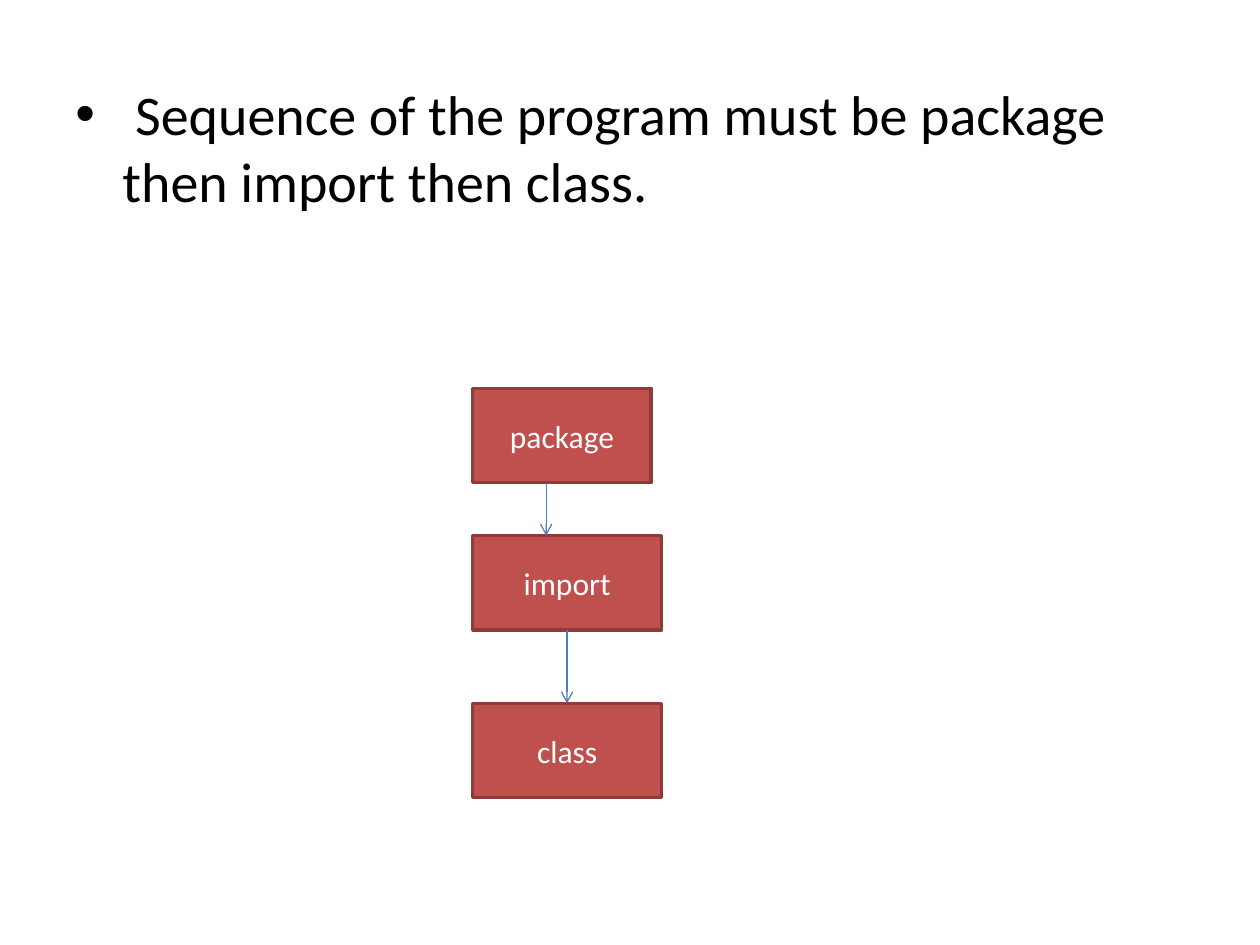
from lxml.etree import SubElement as Sub
from pptx import Presentation
from pptx.dml.color import RGBColor as Rgb
from pptx.enum.shapes import MSO_CONNECTOR as Link, MSO_SHAPE as Shape
from pptx.enum.text import MSO_ANCHOR as Anchor, PP_ALIGN as Align
from pptx.oxml.ns import qn
from pptx.util import Cm, Pt

COLORS = {"ink": "000000", "box": "C0504D", "edge": "8E3B39",
          "label": "FFFFFF", "arrow": "4B7EBC"}


class Page:
    font = "Calibri"

    def __init__(self, slide):
        self.slide = slide

    def color(self, name):
        return Rgb.from_string(COLORS[name])

    def style(self, para, size, color):
        for run in para.runs:
            run.font.name = self.font
            run.font.size = Pt(size)
            run.font.color.rgb = self.color(color)

    def bullet(self, text, left, top, width, height):
        frame = self.slide.shapes.add_textbox(
            Cm(left), Cm(top), Cm(width), Cm(height)).text_frame
        frame.word_wrap = True
        para = frame.paragraphs[0]
        para.text = text
        para.space_before = Pt(6.4)
        self.style(para, 32, "ink")
        props = para._p.get_or_add_pPr()
        props.set("marL", str(Cm(0.95)))
        props.set("indent", str(Cm(-0.95)))
        Sub(props, qn("a:buFont"), typeface="Arial")
        Sub(props, qn("a:buChar"), char="•")

    def box(self, text, left, top, width, height):
        box = self.slide.shapes.add_shape(
            Shape.RECTANGLE, Cm(left), Cm(top), Cm(width), Cm(height))
        box.shadow.inherit = False
        box.fill.solid()
        box.fill.fore_color.rgb = self.color("box")
        box.line.color.rgb = self.color("edge")
        box.line.width = Pt(2)
        frame = box.text_frame
        frame.text = text
        frame.vertical_anchor = Anchor.MIDDLE
        para = frame.paragraphs[0]
        para.alignment = Align.CENTER
        self.style(para, 18, "label")

    def arrow(self, x, top, end):
        line = self.slide.shapes.add_connector(
            Link.STRAIGHT, Cm(x), Cm(top), Cm(x), Cm(end))
        line.line.color.rgb = self.color("arrow")
        line.line.width = Pt(0.75)
        Sub(line.line._get_or_add_ln(), qn("a:tailEnd"), type="arrow")
        Sub(line._element.spPr, qn("a:effectLst"))


deck = Presentation()
deck.slide_width, deck.slide_height = Cm(25.4), Cm(19.05)
page = Page(deck.slides.add_slide(deck.slide_layouts[6]))

# Statement
page.bullet("\u00a0Sequence of the program must be package then import then class.",
            1.27, 1.48, 22.86, 15.56)

# Boxes: label, top, width
LEFT, HIGH = 9.53, 1.9
steps = [("package", 7.83, 3.6), ("import", 10.8, 3.81), ("class", 14.18, 3.81)]
for label, top, width in steps:
    page.box(label, LEFT, top, width, HIGH)

# Arrows from each box to the next
for x, step, after in zip((11.01, 11.43), steps, steps[1:]):
    page.arrow(x, step[1] + HIGH, after[1])

deck.save("out.pptx")
